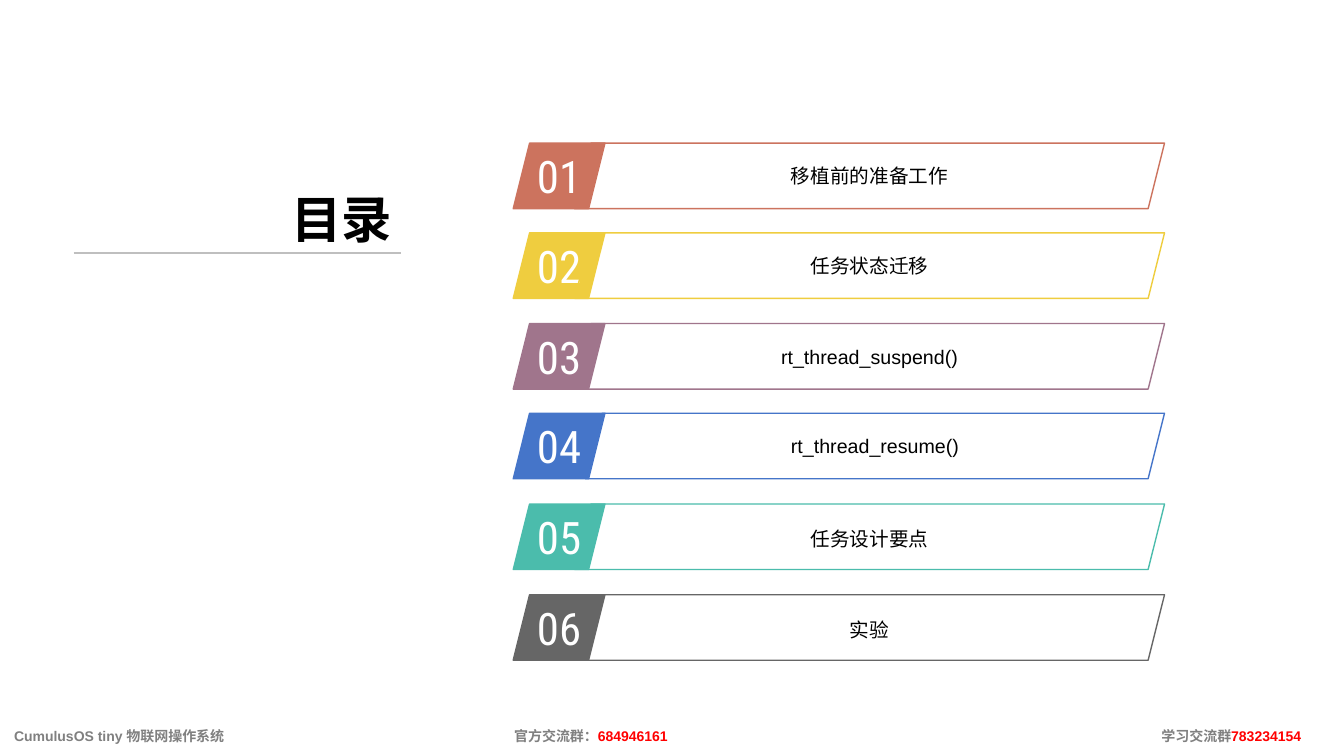
from dataclasses import dataclass

from lxml import etree
from pptx import Presentation
from pptx.dml.color import RGBColor
from pptx.enum.shapes import MSO_CONNECTOR, MSO_SHAPE
from pptx.enum.text import MSO_ANCHOR, MSO_AUTO_SIZE, PP_ALIGN
from pptx.oxml.ns import qn
from pptx.util import Emu, Pt

PARALLELOGRAM = MSO_SHAPE.PARALLELOGRAM
STRAIGHT = MSO_CONNECTOR.STRAIGHT
LEFT, CENTER, RIGHT = PP_ALIGN.LEFT, PP_ALIGN.CENTER, PP_ALIGN.RIGHT
MIDDLE, BOTTOM = MSO_ANCHOR.MIDDLE, MSO_ANCHOR.BOTTOM
NO_FIT = MSO_AUTO_SIZE.NONE

BODY_FONT, NUMBER_FONT = "Arial", "Roboto Condensed"
BLACK, WHITE, GREY, RED = "000000", "FFFFFF", "808080", "FF0000"
RULE_GREY = "BFBFBF"
TITLE_ONLY = 5

# Agenda geometry, 100 px to the inch
FIRST_TOP, LAST_TOP, ROW_HEIGHT = 142, 590, 65
BADGE_LEFT, BADGE_WIDTH = 509, 91
BAR_RIGHT = 1155
FOOTER_INSET = 14
FOOTER_TABS = (496, 1138)


@dataclass
class Topic:
    text: str
    color: str
    bar_left: int = 570
    spacing: float = 1.0


TOPICS = [
    Topic("移植前的准备工作", "CC735E"),
    Topic("任务状态迁移", "EFCD3F"),
    Topic("rt_thread_suspend()", "A0758C"),
    Topic("rt_thread_resume()", "4575C9", bar_left=581),
    Topic("任务设计要点", "4BBCAC", spacing=1.2),
    Topic("实验", "666666", spacing=1.2),
]
FOOTER = [
    ("CumulusOS tiny 物联网操作系统\t官方交流群：", GREY),
    ("684946161\t", RED),
    ("学习交流群", GREY),
    ("783234154", RED),
]


def px(n: int) -> Emu:
    return Emu(n * 9144)


def rgb(value: str) -> RGBColor:
    return RGBColor.from_string(value)


def add_text(tf, text: str, *, size: int, color: str = BLACK, font: str = BODY_FONT,
             bold: bool = False, align=LEFT, anchor=MIDDLE, wrap: bool = True,
             spacing: float = 1.0) -> None:
    """Append a formatted run to the first paragraph of a text frame."""
    tf.word_wrap = wrap
    tf.vertical_anchor = anchor
    p = tf.paragraphs[0]
    p.alignment = align
    p.line_spacing = spacing
    r = p.add_run()
    r.text = text
    r.font.size = Pt(size)
    r.font.name = font
    r.font.bold = bold
    r.font.color.rgb = rgb(color)


def add_slant(shapes, left: int, top: int, width: int, color: str, filled: bool):
    sp = shapes.add_shape(PARALLELOGRAM, px(left), px(top), px(width), px(ROW_HEIGHT))
    sp.shadow.inherit = False
    if filled:
        sp.fill.solid()
        sp.fill.fore_color.rgb = rgb(color)
    else:
        sp.fill.background()
    sp.line.color.rgb = rgb(color)
    sp.line.width = Pt(1)
    return sp


def add_topic(s, number: int, top: int, topic: Topic) -> None:
    shapes = s.shapes.add_group_shape().shapes
    badge = add_slant(shapes, BADGE_LEFT, top, BADGE_WIDTH, topic.color, True)
    add_text(badge.text_frame, f"{number:02}", size=32, color=WHITE, font=NUMBER_FONT,
             align=CENTER, wrap=False)
    bar = add_slant(shapes, topic.bar_left, top, BAR_RIGHT - topic.bar_left,
                    topic.color, False)
    add_text(bar.text_frame, topic.text, size=14, align=CENTER, spacing=topic.spacing)


def add_title(s) -> None:
    title = s.shapes.title
    title.left, title.top, title.width, title.height = map(px, (160, 142, 239, 110))
    title.text_frame.auto_size = NO_FIT
    add_text(title.text_frame, "目录", size=36, bold=True, align=RIGHT, anchor=BOTTOM,
             wrap=False)
    rule = s.shapes.add_connector(STRAIGHT, px(73), px(251), px(398), px(251))
    rule.line.color.rgb = rgb(RULE_GREY)
    rule.line.width = Pt(1.5)
    etree.SubElement(rule._element.spPr, qn("a:effectLst"))


def add_footer(s) -> None:
    tf = s.shapes.add_textbox(px(0), px(710), px(1333), px(40)).text_frame
    tf.margin_left = px(FOOTER_INSET)
    for text, color in FOOTER:
        add_text(tf, text, size=10, color=color, bold=True)
    # Tab stops hold the three columns in place
    tabs = etree.SubElement(tf.paragraphs[0]._p.get_or_add_pPr(), qn("a:tabLst"))
    for stop in FOOTER_TABS:
        etree.SubElement(tabs, qn("a:tab"), pos=str(px(stop)), algn="l")


def main() -> None:
    prs = Presentation()
    prs.slide_width, prs.slide_height = px(1333), px(750)
    s = prs.slides.add_slide(prs.slide_layouts[TITLE_ONLY])

    # Agenda rows, evenly spread from first to last
    for i, topic in enumerate(TOPICS):
        top = FIRST_TOP + (LAST_TOP - FIRST_TOP) * i // (len(TOPICS) - 1)
        add_topic(s, i + 1, top, topic)

    add_title(s)
    add_footer(s)
    prs.save("out.pptx")


if __name__ == "__main__":
    main()
